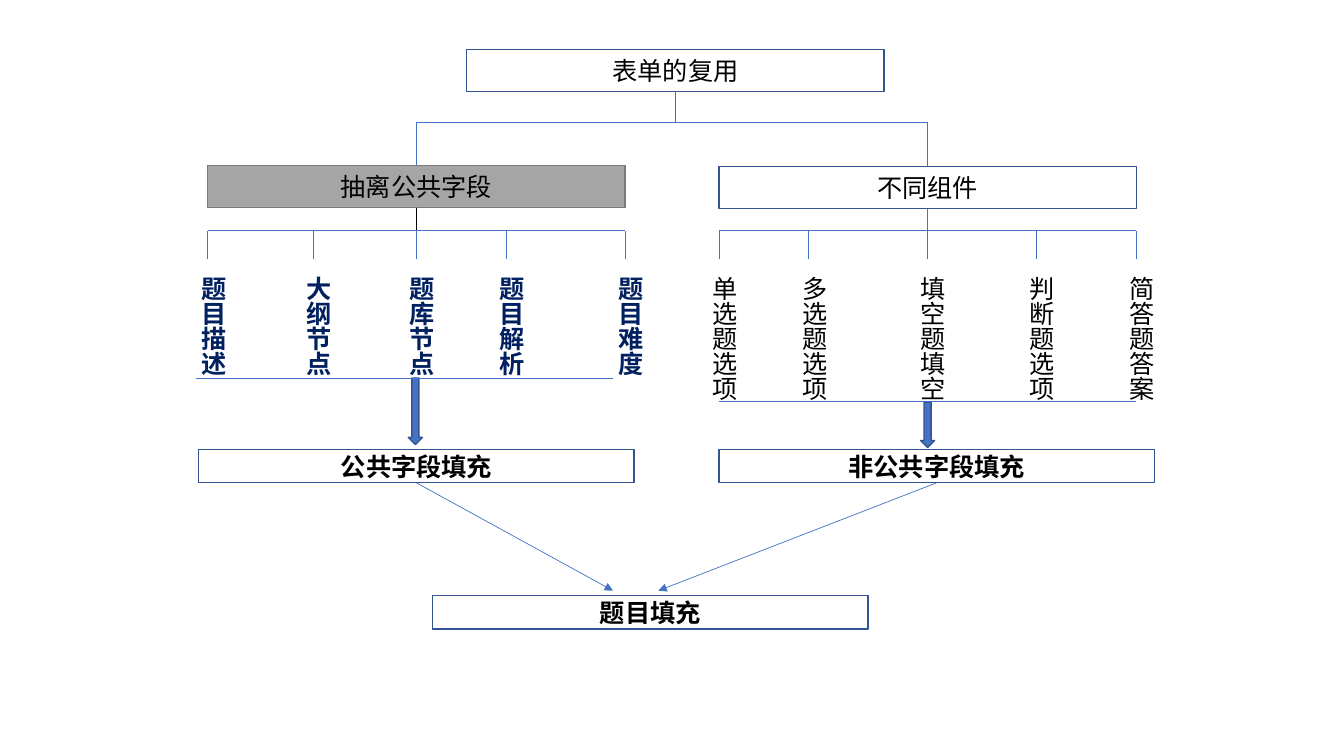
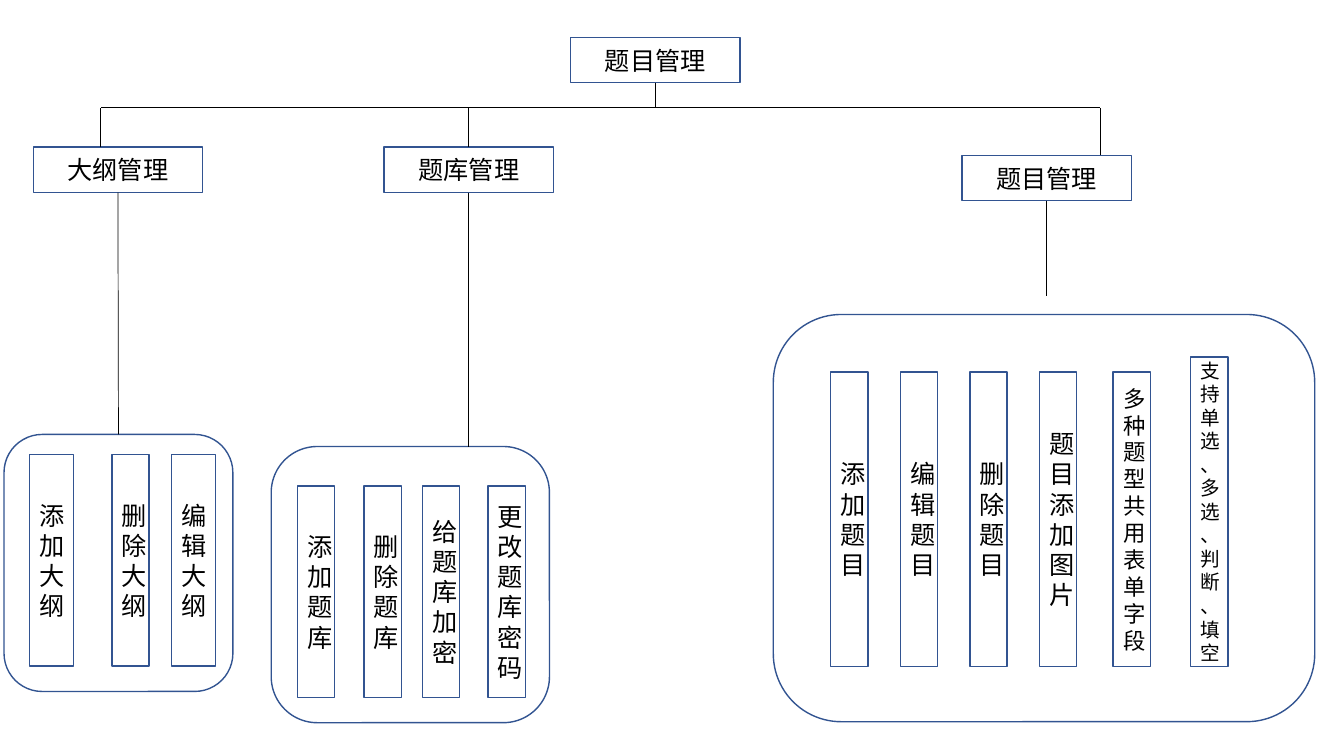
from typing import NamedTuple

from lxml import etree
from pptx import Presentation
from pptx import util as u
from pptx.dml.color import RGBColor
from pptx.enum import shapes, text
from pptx.oxml.ns import qn

# Shared look; every length is a count of grid cells, columns and rows alike
CELL = 0.1
FONT = "Noto Sans CJK SC"
LEADING = 1.2
COLORS = {
    "ink": "000000", "navy": "002060", "blue": "4472C4",
    "edge": "325491", "grey": "A5A5A5", "grey_edge": "7A7A7A",
}
KIND = shapes.MSO_SHAPE
TOP, BOTTOM = 0, 2


class Area(NamedTuple):
    col: float
    row: float
    cols: float
    rows: float


class Branch(NamedTuple):
    title: str
    col: float
    row: float
    fill: str | None
    edge: str
    stem: str
    leaves: dict[str, float]  # word: columns from the left end of the rail
    leaf_color: str
    leaf_rows: float
    underline: tuple[float, float]
    arrow: Area
    result: str
    result_col: float


class Bar(NamedTuple):
    label: str
    col: float
    cols: float = 3.7
    size: int = 18
    lift: float = 0


class Module(NamedTuple):
    title: str
    col: float
    row: float
    drop: float
    panel: Area
    stem_end: tuple[float, float]
    joined: bool
    bar_row: float
    bar_rows: float
    bars: tuple[Bar, ...]


BRANCHES = (
    Branch("抽离公共字段", 20.6, 16.4, "grey", "grey_edge", "ink",
           {"题目描述": 0, "大纲节点": 10.5, "题库节点": 20.7, "题目解析": 29.6, "题目难度": 41.4},
           "navy", 11.1, (19.4, 37.5), Area(40.5, 37.5, 1.4, 6.6), "公共字段填充", 19.7),
    Branch("不同组件", 71.3, 16.5, None, "edge", "blue",
           {"单选题选项": 0, "多选题选项": 8.9, "填空题填空": 20.7, "判断题选项": 31.5, "简答题答案": 41.4},
           "ink", 13.6, (71.3, 39.8), Area(91.3, 39.9, 1.4, 4.5), "非公共字段填充", 71.3),
)

MODULES = (
    Module("大纲管理", 3.3, 14.6, 10, Area(0.4, 43.1, 22.7, 25.5), (11.75, 43.1), True, 45.1, 21,
           (Bar("添加大纲", 2.9, 4.4), Bar("删除大纲", 11.1), Bar("编辑大纲", 17, 4.4))),
    Module("题库管理", 38.1, 14.6, 46.5, Area(26.9, 44.3, 27.6, 27.4), (46.5, 44.3), False, 48.2, 21,
           (Bar("添加题库", 29.5), Bar("删除题库", 36.1), Bar("给题库加密", 41.9), Bar("更改题库密码", 48.4))),
    Module("题目管理", 95.4, 15.4, 109.1, Area(76.7, 31.2, 53.7, 40.4), (103.8, 29.4), False, 36.9, 29.2,
           (Bar("添加题目", 82.4), Bar("编辑题目", 89.3), Bar("删除题目", 96.2), Bar("题目添加图片", 103.1),
            Bar("多种题型共用表单字段", 110.4, size=16),
            Bar("支持单选、多选、判断、填空", 118.1, size=14, lift=1.5))),
)


def cells(*counts: float) -> list[int]:
    return [u.Inches(n * CELL) for n in counts]


def rgb(name: str) -> RGBColor:
    return RGBColor.from_string(COLORS[name])


def write(tf, words: str, size: int, bold: bool, color: str, align=None) -> None:
    tf.text = words
    p = tf.paragraphs[0]
    p.alignment = align
    p.line_spacing = u.Pt(size * LEADING)
    r = p.runs[0]
    r.font.size, r.font.bold, r.font.name = u.Pt(size), bold, FONT
    r.font.color.rgb = rgb(color)
    etree.SubElement(r._r.get_or_add_rPr(), qn("a:ea"), typeface=FONT)


def shape(s, area: Area, kind=KIND.RECTANGLE, words: str = "", size: int = 18,
          bold: bool = False, fill: str | None = None, edge: str = "edge"):
    sp = s.shapes.add_shape(kind, *cells(*area))
    sp.shadow.inherit = False
    if fill:
        sp.fill.solid()
        sp.fill.fore_color.rgb = rgb(fill)
    else:
        sp.fill.background()
    sp.line.color.rgb = rgb(edge)
    sp.line.width = u.Pt(1)
    if words:
        tf = sp.text_frame
        tf.word_wrap = True
        tf.vertical_anchor = text.MSO_ANCHOR.MIDDLE
        write(tf, words, size, bold, "ink", text.PP_ALIGN.CENTER)
    return sp


def link(s, start: tuple[float, float], end: tuple[float, float], color: str,
         begin=None, finish=None, arrow: bool = False) -> None:
    """Line that may leave a box at its bottom and reach a box at its top."""
    c = s.shapes.add_connector(shapes.MSO_CONNECTOR.STRAIGHT, *cells(*start, *end))
    c.line.color.rgb = rgb(color)
    c.line.width = u.Pt(0.5)
    if begin is not None:
        c.begin_connect(begin, BOTTOM)
    if finish is not None:
        c.end_connect(finish, TOP)
    pr = c.element.spPr
    if arrow:
        etree.SubElement(pr.find(qn("a:ln")), qn("a:tailEnd"), type="triangle")
    etree.SubElement(pr, qn("a:effectLst"))


def leaf(s, words: str, center: float, rows: float, color: str) -> None:
    sp = s.shapes.add_textbox(*cells(center - 2.5, 26.4, 5, rows))
    tf = sp.text_frame
    tf.word_wrap = False
    tf.auto_size = text.MSO_AUTO_SIZE.SHAPE_TO_FIT_TEXT
    tf._txBody.bodyPr.set("vert", "eaVert")
    write(tf, words, 18, color == "navy", color)


def form_slide(s) -> None:
    width, height, result_width = 41.4, 4.2, 43.2
    upper_rail, lower_rail, result_row = 12.1, 22.9, 44.6

    # Root and upper rail
    root = shape(s, Area(46.3, 4.9, width, height), words="表单的复用")
    link(s, (67, 9.1), (67, upper_rail), "blue", begin=root)
    centers = [b.col + width / 2 for b in BRANCHES]
    link(s, (centers[0], upper_rail), (centers[1], upper_rail), "blue")

    for b, center, target in zip(BRANCHES, centers, (60.8, 65.3)):
        # Branch title and lower rail
        box = shape(s, Area(b.col, b.row, width, height), words=b.title, fill=b.fill, edge=b.edge)
        link(s, (center, upper_rail), (center, b.row), "blue", finish=box)
        link(s, (center, b.row + height), (center, lower_rail), b.stem, begin=box)
        link(s, (b.col, lower_rail), (b.col + width, lower_rail), "blue")
        for words, offset in b.leaves.items():
            x = b.col + offset
            link(s, (x, lower_rail), (x, 25.7), "blue")
            leaf(s, words, x, b.leaf_rows, b.leaf_color)

        # Result of the branch
        result = shape(s, Area(b.result_col, result_row, result_width, 3.3), words=b.result, bold=True)
        link(s, (b.result_col + result_width / 2, 47.9), (target, 58.6), "blue", begin=result, arrow=True)
        shape(s, b.arrow, KIND.DOWN_ARROW, fill="blue")
        x, y = b.underline
        link(s, (x, y), (x + width, y), "blue")

    shape(s, Area(42.9, 59.1, result_width, 3.3), words="题目填充", bold=True)


def management_slide(s) -> None:
    width, height, rail = 16.8, 4.5, 10.7

    # Root and rail
    root = shape(s, Area(56.6, 3.7, width, height), words="题目管理")
    link(s, (65, 8.2), (65, rail), "ink", begin=root)
    link(s, (MODULES[0].drop, rail), (MODULES[-1].drop, rail), "ink")

    for m in MODULES:
        # Module title, panel and their lines
        center = m.col + width / 2
        box = shape(s, Area(m.col, m.row, width, height), words=m.title)
        panel = shape(s, m.panel, KIND.ROUNDED_RECTANGLE)
        link(s, (m.drop, rail), (m.drop, m.row), "ink", finish=box if m.drop == center else None)
        link(s, (center, m.row + height), m.stem_end, "ink", begin=box, finish=panel if m.joined else None)

        # Functions of the module
        for bar in m.bars:
            area = Area(bar.col, m.bar_row - bar.lift, bar.cols, m.bar_rows + bar.lift)
            shape(s, area, words=bar.label, size=bar.size)


def main() -> None:
    prs = Presentation()
    prs.slide_width, prs.slide_height = u.Inches(13.33), u.Inches(7.5)
    for draw in (form_slide, management_slide):
        draw(prs.slides.add_slide(prs.slide_layouts[6]))
    prs.save("out.pptx")


if __name__ == "__main__":
    main()
